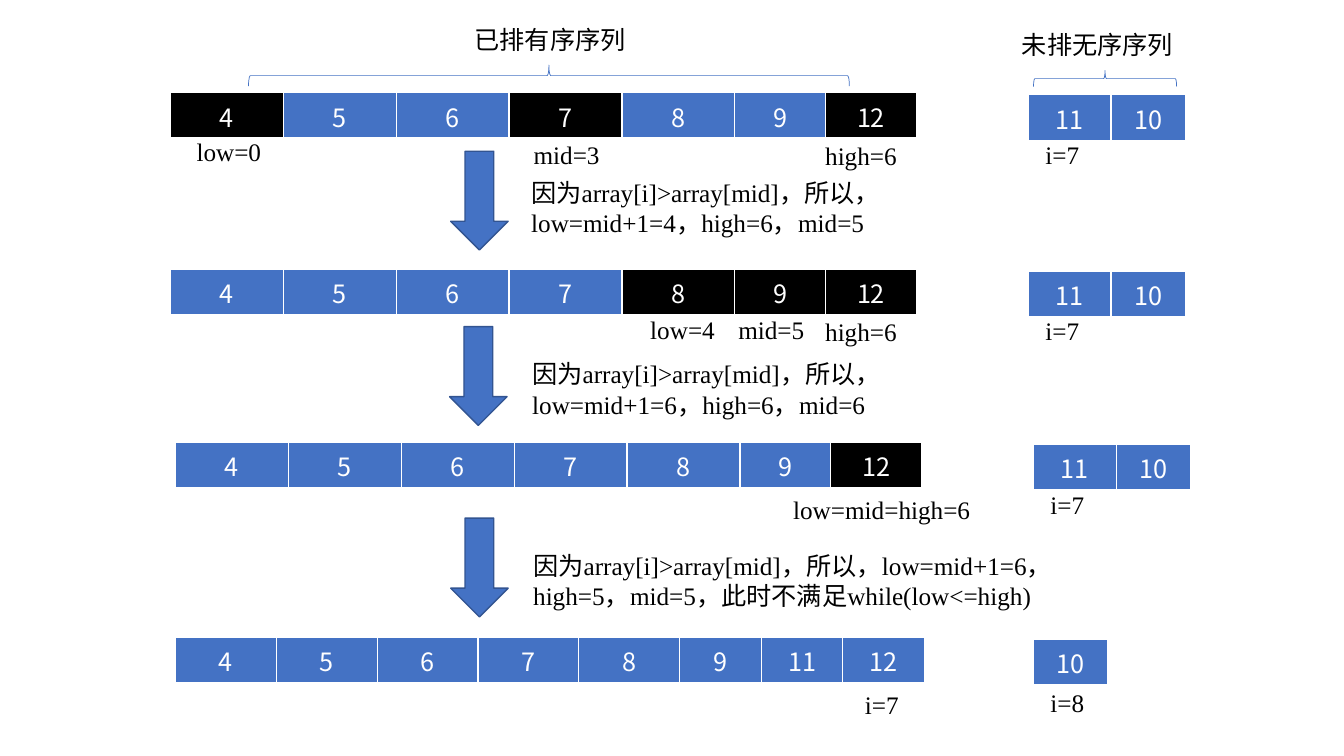
from lxml import etree
from pptx import Presentation
from pptx.dml.color import RGBColor
from pptx.enum.shapes import MSO_SHAPE as Preset
from pptx.enum.text import MSO_AUTO_SIZE as AutoSize, PP_ALIGN as Align
from pptx.oxml.ns import qn
from pptx.util import Pt

PX = 9144  # 100 px to the inch
COLORS = {"blue": "4472C4", "outline": "325491", "black": "000000", "white": "FFFFFF"}
LABEL_FONT, CELL_FONT = "Times New Roman", "Noto Sans CJK SC"
BORDERS = {"a:lnL": 1, "a:lnR": 1, "a:lnT": 1, "a:lnB": 3}

presentation = Presentation()
presentation.slide_width, presentation.slide_height = 1333 * PX, 750 * PX
slide = presentation.slides.add_slide(presentation.slide_layouts[6])


def color(name):
    return RGBColor.from_string(COLORS[name])


def add_run(paragraph, text, font_name, color_name):
    run = paragraph.add_run()
    run.text = text
    run.font.size = Pt(18)
    run.font.name = font_name
    run.font.color.rgb = color(color_name)
    east_asian = etree.SubElement(run.font._element, qn("a:ea"))
    east_asian.set("typeface", CELL_FONT)


# Sequences: left, top, column widths, values, values in the search range
sorted_widths = [112] * 5 + [90] * 2
unsorted_widths = [82, 74]
sorted_values = [4, 5, 6, 7, 8, 9, 12]
sequences = [
    (169, 92, sorted_widths, sorted_values, {4, 7, 12}),
    (169, 267, sorted_widths, sorted_values, {8, 9, 12}),
    (174, 439, sorted_widths, sorted_values, {12}),
    (174, 632, [100] * 5 + [81] * 3, [4, 5, 6, 7, 8, 9, 11, 12], set()),
    (1020, 94, unsorted_widths, [11, 10], set()),
    (1020, 269, unsorted_widths, [11, 10], set()),
    (1025, 441, unsorted_widths, [11, 10], set()),
    (1025, 634, [74], [10], set()),
]
for left, top, widths, values, marked in sequences:
    frame = slide.shapes.add_table(
        1, len(values), left * PX, top * PX, sum(widths) * PX, 40 * PX)
    table = frame.table
    for column, (width, value) in enumerate(zip(widths, values)):
        table.columns[column].width = width * PX
        cell = table.cell(0, column)
        paragraph = cell.text_frame.paragraphs[0]
        paragraph.alignment = Align.CENTER
        add_run(paragraph, str(value), CELL_FONT, "white")
        properties = cell._tc.get_or_add_tcPr()
        for tag, points in BORDERS.items():
            border = etree.SubElement(properties, qn(tag), w=str(Pt(points)))
            fill = etree.SubElement(border, qn("a:solidFill"))
            etree.SubElement(fill, qn("a:srgbClr"), val=COLORS["white"])
        cell.fill.solid()
        cell.fill.fore_color.rgb = color("black" if value in marked else "blue")

# Step arrows
for left, top in [(447, 150), (446, 324), (447, 514)]:
    arrow = slide.shapes.add_shape(
        Preset.DOWN_ARROW, left * PX, top * PX, 57 * PX, 98 * PX)
    arrow.shadow.inherit = False
    arrow.fill.solid()
    arrow.fill.fore_color.rgb = color("blue")
    arrow.line.color.rgb = color("outline")
    arrow.line.width = Pt(1)

# Braces over the two sequences, turned to point upwards
for left, top, width, height in [(534, -223, 21, 596), (1088, 7, 16, 142)]:
    brace = slide.shapes.add_shape(
        Preset.RIGHT_BRACE, left * PX, top * PX, width * PX, height * PX)
    brace.rotation = 270
    brace.shadow.inherit = False
    brace.fill.background()
    brace.line.color.rgb = color("blue")
    brace.line.width = Pt(0.5)

# Headings, index labels and explanations: left, top, width, height, alignment, text
labels = [
    (453, 19, 185, 40, Align.CENTER, "已排有序序列"),
    (996, 24, 185, 40, Align.CENTER, "未排无序序列"),
    (169, 130, 116, 40, Align.CENTER, "low=0"),
    (504, 133, 116, 40, Align.CENTER, "mid=3"),
    (796, 134, 116, 40, Align.CENTER, "high=6"),
    (1009, 133, 89, 40, Align.CENTER, "i=7"),
    (619, 307, 116, 40, Align.CENTER, "low=4"),
    (707, 307, 116, 40, Align.CENTER, "mid=5"),
    (796, 309, 116, 40, Align.CENTER, "high=6"),
    (1009, 308, 89, 40, Align.CENTER, "i=7"),
    (774, 486, 201, 40, Align.CENTER, "low=mid=high=6"),
    (1014, 481, 89, 40, Align.CENTER, "i=7"),
    (830, 679, 89, 40, Align.CENTER, "i=7"),
    (1014, 677, 89, 40, Align.CENTER, "i=8"),
    (517, 171, 381, 71, Align.LEFT,
     "因为array[i]>array[mid]，所以，low=mid+1=4，high=6，mid=5"),
    (518, 351, 381, 71, Align.LEFT,
     "因为array[i]>array[mid]，所以，low=mid+1=6，high=6，mid=6"),
    (519, 541, 564, 71, Align.LEFT,
     "因为array[i]>array[mid]，所以，low=mid+1=6，high=5，mid=5，此时不满足while(low<=high)"),
]
for left, top, width, height, alignment, text in labels:
    box = slide.shapes.add_textbox(left * PX, top * PX, width * PX, height * PX)
    box.text_frame.word_wrap = True
    box.text_frame.auto_size = AutoSize.SHAPE_TO_FIT_TEXT
    paragraph = box.text_frame.paragraphs[0]
    paragraph.alignment = alignment
    add_run(paragraph, text, LABEL_FONT, "black")

presentation.save("out.pptx")
